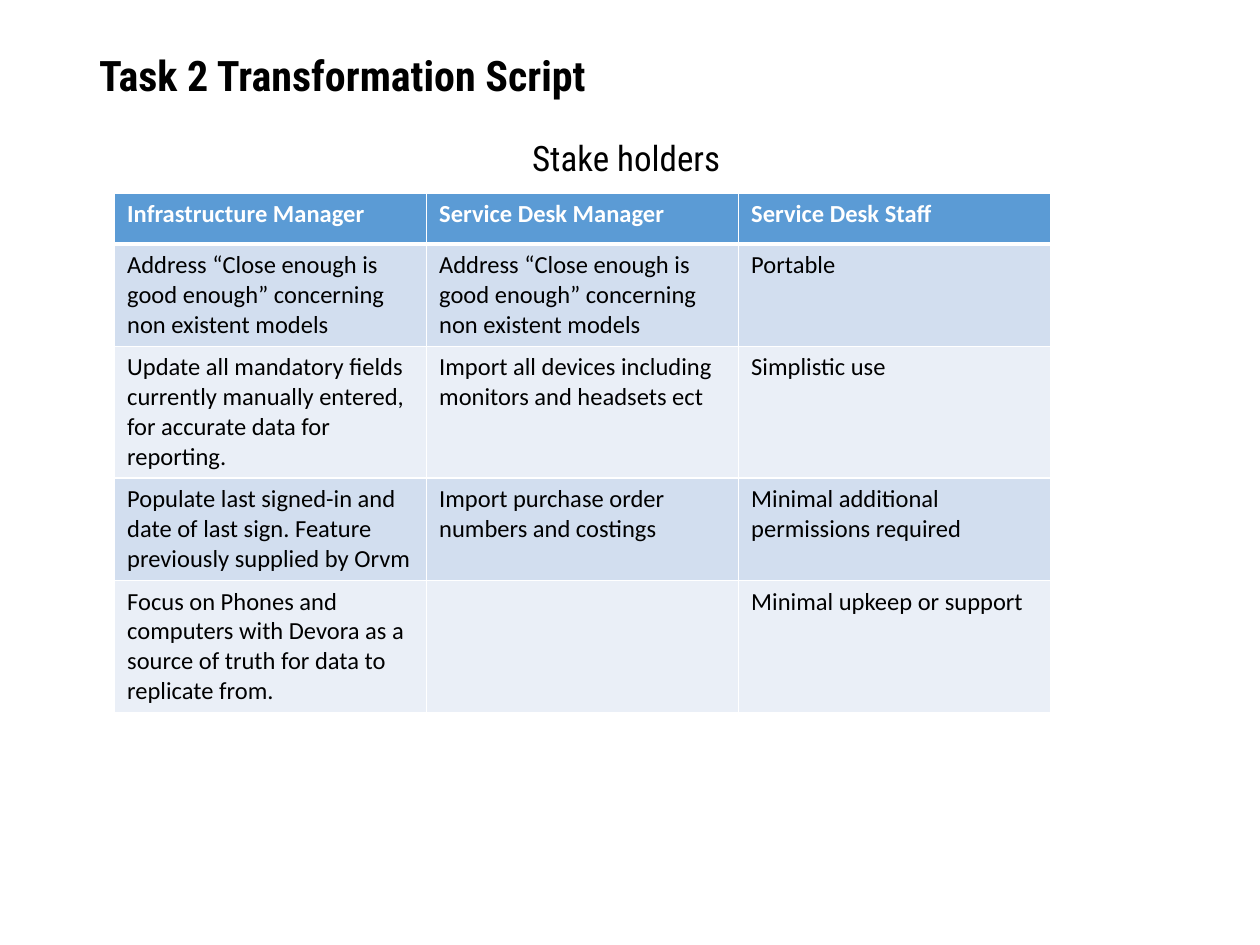
from lxml import etree
from pptx import Presentation
from pptx.dml.color import RGBColor
from pptx.enum import text
from pptx.oxml import ns
from pptx.util import Cm, Pt

BLACK = RGBColor(0x00, 0x00, 0x00)
WHITE = RGBColor(0xFF, 0xFF, 0xFF)
BLUE = RGBColor(0x5B, 0x9B, 0xD5)
BANDS = [RGBColor(0xEA, 0xEF, 0xF7), RGBColor(0xD2, 0xDE, 0xEF)]


def style(para, face, size, color, bold=False):
    for run in para.runs:
        font = run.font
        font.name, font.size, font.bold = face, Pt(size), bold
        font.color.rgb = color


def edge(cell, side, width):
    props = cell._tc.get_or_add_tcPr()
    line = etree.SubElement(props, ns.qn("a:" + side), w=str(Pt(width)))
    fill = etree.SubElement(line, ns.qn("a:solidFill"))
    etree.SubElement(fill, ns.qn("a:srgbClr"), val=str(WHITE))


deck = Presentation()
deck.slide_width, deck.slide_height = Cm(25.4), Cm(19.05)
slide = deck.slides.add_slide(deck.slide_layouts[6])

# Title and subtitle
heads = [
    ("Task 2 Transformation Script", (1.75, 0.91, 21.89, 1.32), 24, True,
     text.PP_ALIGN.LEFT, text.MSO_ANCHOR.MIDDLE),
    ("Stake holders", (1.68, 2.72, 21.89, 14.43), 20, False,
     text.PP_ALIGN.CENTER, text.MSO_ANCHOR.TOP),
]
for words, place, size, bold, align, anchor in heads:
    frame = slide.shapes.add_textbox(*map(Cm, place)).text_frame
    frame.word_wrap = True
    frame.vertical_anchor = anchor
    frame.text = words
    para = frame.paragraphs[0]
    para.alignment = align
    para.line_spacing = 0.9
    style(para, "Roboto Condensed", size, BLACK, bold)

# Needs of each stakeholder, one column per role
rows = [
    ("Infrastructure Manager", "Service Desk Manager", "Service Desk Staff"),
    ("Address “Close enough is good enough” concerning non existent models",
     "Address “Close enough is good enough” concerning non existent models",
     "Portable"),
    ("Update all mandatory fields currently manually entered, for accurate "
     "data for reporting.",
     "Import all devices including monitors and headsets ect",
     "Simplistic use"),
    ("Populate last signed-in and date of last sign. Feature previously "
     "supplied by Orvm",
     "Import purchase order numbers and costings",
     "Minimal additional permissions required"),
    ("Focus on Phones and computers with Devora as a source of truth for "
     "data to replicate from.",
     "",
     "Minimal upkeep or support"),
]
highs = [1.03, 2.06, 2.66, 2.06, 2.66]
table = slide.shapes.add_table(
    len(rows), 3, Cm(2.31), Cm(3.89), Cm(18.87), Cm(sum(highs))).table
for r, row in enumerate(rows):
    table.rows[r].height = Cm(highs[r])
    top = r == 0
    for c, words in enumerate(row):
        cell = table.cell(r, c)
        cell.text = words
        style(cell.text_frame.paragraphs[0], "Calibri", 14,
              WHITE if top else BLACK, top)
        # Borders come before the fill in the cell properties
        for side in ("lnL", "lnR", "lnT", "lnB"):
            thick = (top and side == "lnB") or (r == 1 and side == "lnT")
            edge(cell, side, 3 if thick else 1)
        cell.fill.solid()
        cell.fill.fore_color.rgb = BLUE if top else BANDS[r % 2]

deck.save("out.pptx")
